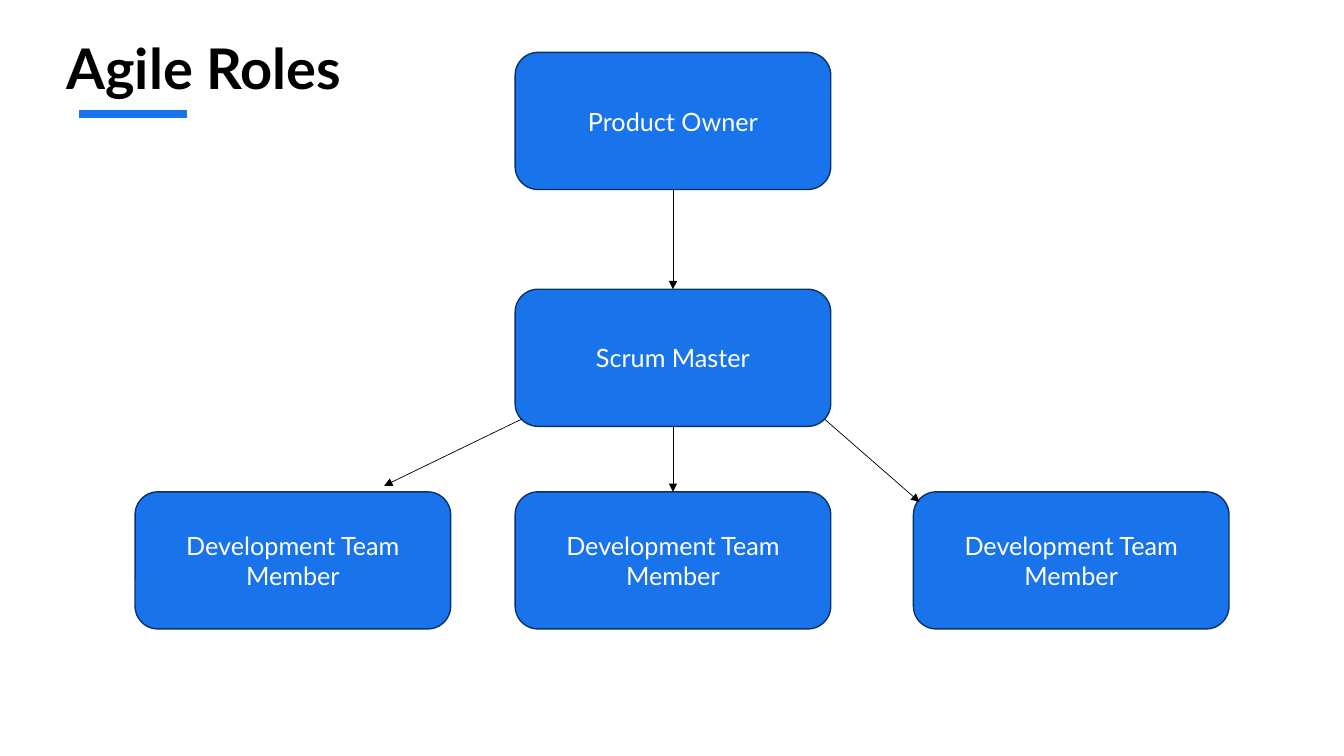
from dataclasses import dataclass

from lxml import etree
from pptx import Presentation
from pptx import util as u
from pptx.dml.color import RGBColor
from pptx.enum import shapes, text
from pptx.oxml.ns import qn
from pptx.shapes.autoshape import Shape
from pptx.shapes.connector import Connector
from pptx.slide import Slide

EMU_PER_PX = 9144  # 100 px to the inch
FONT = "Lato"
BLUE, NAVY, BLACK, WHITE = "1973EB", "0B3267", "000000", "FFFFFF"
ROLE_WIDTH, ROLE_HEIGHT = 313, 136
CENTER_LEFT, TEAM_TOP = 511, 488
TOP, BOTTOM = 0, 2  # connection sites


@dataclass
class Role:
    label: str
    left: int
    top: int


@dataclass
class Line:
    start: tuple[int, int]
    end: tuple[int, int]
    color: str = BLACK
    points: float = 0.5
    arrow: bool = True


def px(length: int) -> u.Emu:
    return u.Emu(length * EMU_PER_PX)


def rgb(color: str) -> RGBColor:
    return RGBColor.from_string(color)


def style_text(paragraph, size: int, color: str, bold: bool, align) -> None:
    paragraph.alignment = align
    font = paragraph.font
    font.name, font.size, font.bold = FONT, u.Pt(size), bold
    font.color.rgb = rgb(color)


def draw_role(slide: Slide, role: Role) -> Shape:
    box = slide.shapes.add_shape(
        shapes.MSO_SHAPE.ROUNDED_RECTANGLE,
        px(role.left), px(role.top), px(ROLE_WIDTH), px(ROLE_HEIGHT))
    box.shadow.inherit = False
    box.fill.solid()
    box.fill.fore_color.rgb = rgb(BLUE)
    box.line.color.rgb = rgb(NAVY)
    box.line.width = u.Pt(1)
    frame = box.text_frame
    frame.word_wrap = True
    frame.vertical_anchor = text.MSO_ANCHOR.MIDDLE
    frame.text = role.label
    style_text(frame.paragraphs[0], 18, WHITE, False, text.PP_ALIGN.CENTER)
    return box


def draw_line(slide: Slide, line: Line) -> Connector:
    connector = slide.shapes.add_connector(
        shapes.MSO_CONNECTOR.STRAIGHT,
        *(px(value) for value in line.start + line.end))
    connector.line.color.rgb = rgb(line.color)
    connector.line.width = u.Pt(line.points)
    properties = connector.line._get_or_add_ln()
    if line.arrow:
        etree.SubElement(properties, qn("a:tailEnd"), type="triangle")
    etree.SubElement(properties.getparent(), qn("a:effectLst"))
    return connector


def join_roles(slide: Slide, upper: Shape, lower: Shape) -> None:
    arrow = draw_line(slide, Line((0, 0), (0, 0)))
    arrow.begin_connect(upper, BOTTOM)
    arrow.end_connect(lower, TOP)


def draw_title(slide: Slide) -> None:
    title = slide.shapes.title
    title.left, title.top, title.width, title.height = map(px, (56, 28, 1191, 120))
    frame = title.text_frame
    frame.text = "Agile Roles"
    frame.auto_size = text.MSO_AUTO_SIZE.NONE
    frame.vertical_anchor = text.MSO_ANCHOR.TOP
    style_text(frame.paragraphs[0], 40, BLACK, True, text.PP_ALIGN.LEFT)


def main() -> None:
    deck = Presentation()
    deck.slide_width, deck.slide_height = px(1333), px(750)
    slide = deck.slides.add_slide(deck.slide_layouts[5])

    # Title and its underline
    draw_title(slide)
    draw_line(slide, Line((78, 113), (185, 113), BLUE, 6, arrow=False))

    # Roles, from the top of the hierarchy down
    owner = draw_role(slide, Role("Product Owner", CENTER_LEFT, 52))
    master = draw_role(slide, Role("Scrum Master", CENTER_LEFT, 287))
    members = [draw_role(slide, Role("Development Team Member", left, TEAM_TOP))
               for left in (134, CENTER_LEFT, 906)]

    # Central arrows, joined to the boxes
    join_roles(slide, owner, master)
    join_roles(slide, master, members[1])

    # Slanted arrows from the lower corners of the Scrum Master
    for slant in (Line((517, 416), (381, 482)), Line((818, 416), (912, 498))):
        draw_line(slide, slant)

    deck.save("out.pptx")


if __name__ == "__main__":
    main()
